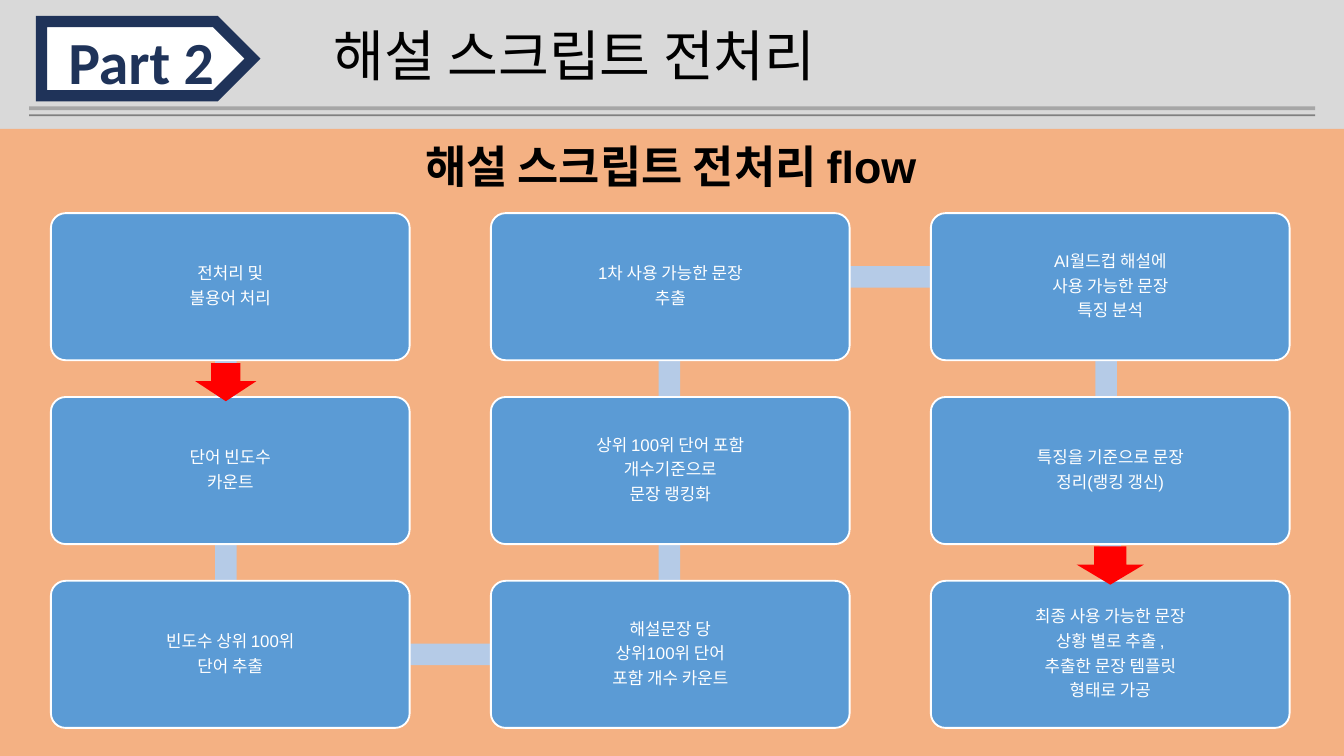
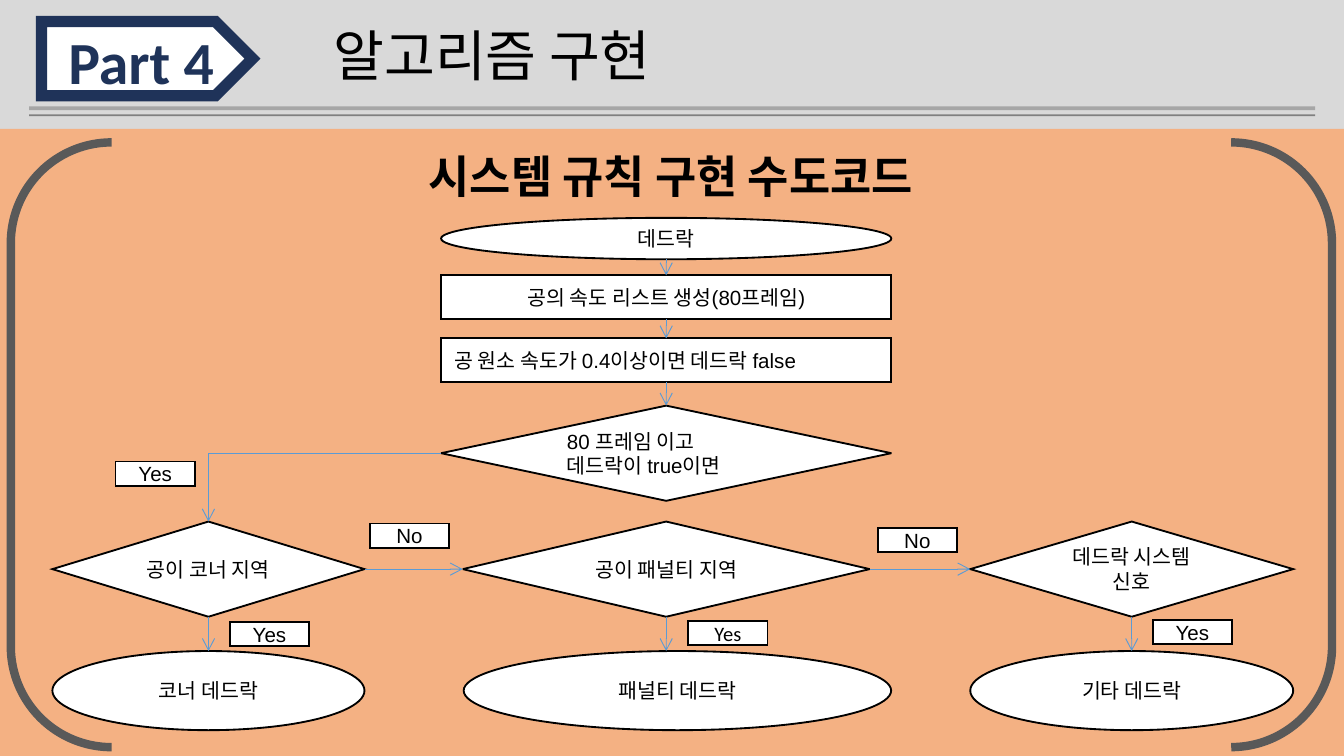
from lxml import etree
from pptx import Presentation
from pptx.dml.color import RGBColor
from pptx.enum.shapes import MSO_CONNECTOR, MSO_SHAPE
from pptx.enum.text import MSO_ANCHOR, MSO_AUTO_SIZE, PP_ALIGN
from pptx.oxml.ns import qn
from pptx.util import Pt

LEFT, CENTER = PP_ALIGN.LEFT, PP_ALIGN.CENTER
TOP_ANCHOR, MIDDLE = MSO_ANCHOR.TOP, MSO_ANCHOR.MIDDLE
NO_FIT, GROW = MSO_AUTO_SIZE.NONE, MSO_AUTO_SIZE.SHAPE_TO_FIT_TEXT
RECT, ROUNDED, ELLIPSE = MSO_SHAPE.RECTANGLE, MSO_SHAPE.ROUNDED_RECTANGLE, MSO_SHAPE.OVAL
DIAMOND, PENTAGON = MSO_SHAPE.DIAMOND, MSO_SHAPE.PENTAGON
DOWN_ARROW, BRACKETS = MSO_SHAPE.DOWN_ARROW, MSO_SHAPE.DOUBLE_BRACKET
STRAIGHT, ELBOW = MSO_CONNECTOR.STRAIGHT, MSO_CONNECTOR.ELBOW
TOP, LEFT_SIDE, BOTTOM, RIGHT_SIDE = range(4)

BLACK = RGBColor(0x00, 0x00, 0x00)
WHITE = RGBColor(0xFF, 0xFF, 0xFF)
NAVY = RGBColor(0x1F, 0x33, 0x59)
BLUE = RGBColor(0x5B, 0x9B, 0xD5)
PALE_BLUE = RGBColor(0xB5, 0xCB, 0xE7)
RED = RGBColor(0xFF, 0x00, 0x00)
ORANGE = RGBColor(0xF4, 0xB1, 0x83)
LIGHT_GRAY = RGBColor(0xD9, 0xD9, 0xD9)
MID_GRAY = RGBColor(0xA6, 0xA6, 0xA6)
GRAY = RGBColor(0x80, 0x80, 0x80)
DARK_GRAY = RGBColor(0x59, 0x59, 0x59)

BODY_FONT, TITLE_FONT = "Arial", "Calibri"
TITLE_ONLY = 5

# Steps of the preprocessing flow, one list per column
FLOW_COLUMNS = [
    ["전처리 및\n불용어 처리", "단어 빈도수\n카운트", "빈도수 상위 100위\n단어 추출"],
    ["1차 사용 가능한 문장\n추출",
     "상위 100위 단어 포함\n개수기준으로\n문장 랭킹화",
     "해설문장 당\n상위100위 단어\n포함 개수 카운트"],
    ["AI월드컵 해설에\n사용 가능한 문장\n특징 분석",
     "특징을 기준으로 문장\n정리(랭킹 갱신)",
     "최종 사용 가능한 문장\n상황 별로 추출 ,\n추출한 문장 템플릿\n형태로 가공"],
]
# Bars behind the steps: left, top, length, rotation
FLOW_BARS = [
    (72, 177.8, 98, 90), (72, 274.3, 98, 90), (81.4, 344.9, 234.7, 0),
    (309.6, 275.8, 98, 270), (309.6, 180, 98, 270), (321.1, 142.6, 234.7, 0),
    (543.6, 175, 98, 90), (545.8, 275.8, 98, 90),
]
# Answers beside the arrows: text, left, top, font
ANSWERS = [
    ("Yes", 123.1, 333.2, BODY_FONT), ("Yes", 368.7, 332.6, TITLE_FONT),
    ("Yes", 617.5, 332, BODY_FONT), ("Yes", 61.9, 247.2, BODY_FONT),
    ("No", 198.1, 280.5, BODY_FONT), ("No", 470.2, 282.7, BODY_FONT),
]


def write_text(shape, text, *, size, color=BLACK, font=BODY_FONT, bold=False,
               align=CENTER, anchor=MIDDLE, spacing=None, after=0, wrap=True, fit=NO_FIT):
    frame = shape.text_frame
    frame.text = text
    frame.word_wrap = wrap
    frame.auto_size = fit
    frame.vertical_anchor = anchor
    for paragraph in frame.paragraphs:
        paragraph.alignment = align
        paragraph.space_before = Pt(0)
        paragraph.space_after = Pt(after)
        if spacing:
            paragraph.line_spacing = spacing
        paragraph.font.size = Pt(size)
        paragraph.font.name = font
        paragraph.font.bold = bold
        paragraph.font.color.rgb = color


def add_block(slide, kind, left, top, width, height, fill=None, line=None, weight=1):
    block = slide.shapes.add_shape(kind, Pt(left), Pt(top), Pt(width), Pt(height))
    block.shadow.inherit = False
    if fill is None:
        block.fill.background()
    else:
        block.fill.solid()
        block.fill.fore_color.rgb = fill
    if line is None:
        block.line.fill.background()
    else:
        block.line.color.rgb = line
        block.line.width = Pt(weight)
        # Sharp corners
        etree.SubElement(block.line._get_or_add_ln(), qn("a:miter"), lim="800000")
    return block


def add_label(slide, text, left, top, width, height, **text_format):
    label = slide.shapes.add_textbox(Pt(left), Pt(top), Pt(width), Pt(height))
    write_text(label, text, anchor=TOP_ANCHOR, fit=GROW, **text_format)


def add_node(slide, kind, text, left, top, width, height, **text_format):
    node = add_block(slide, kind, left, top, width, height, WHITE, BLACK)
    write_text(node, text, size=11, **text_format)
    return node


def side_middle(node, side):
    x = {LEFT_SIDE: node.left, RIGHT_SIDE: node.left + node.width}
    y = {TOP: node.top, BOTTOM: node.top + node.height}
    return (x.get(side, node.left + node.width // 2),
            y.get(side, node.top + node.height // 2))


def add_arrow(slide, source, target, exit_side=BOTTOM, entry_side=TOP,
              kind=STRAIGHT, join_source=True, join_target=True):
    start, end = side_middle(source, exit_side), side_middle(target, entry_side)
    if not join_target:
        end = (start[0], end[1])
    arrow = slide.shapes.add_connector(kind, *start, *end)
    if join_source:
        arrow.begin_connect(source, exit_side)
    if join_target:
        arrow.end_connect(target, entry_side)
    arrow.line.color.rgb = BLUE
    arrow.line.width = Pt(0.5)
    properties = arrow._element.spPr
    if kind == ELBOW:
        properties.find(qn("a:prstGeom")).set("prst", "bentConnector2")
    etree.SubElement(arrow.line._get_or_add_ln(), qn("a:tailEnd"), type="arrow")
    etree.SubElement(properties, qn("a:effectLst"))


def add_part_slide(deck, part, title):
    """Start a slide with the shared header and coloured body."""
    slide = deck.slides.add_slide(deck.slide_layouts[TITLE_ONLY])
    heading = slide.shapes.title
    heading.left, heading.top, heading.width, heading.height = (
        Pt(171.4), Pt(17.3), Pt(517), Pt(33.1))
    write_text(heading, title, size=29.6, font=TITLE_FONT, align=LEFT,
               anchor=TOP_ANCHOR, spacing=0.7)
    # Double rule and body
    add_block(slide, RECT, 15.6, 57, 689, 2, MID_GRAY)
    add_block(slide, RECT, 15.6, 61.3, 689, 0.9, GRAY)
    add_block(slide, RECT, 0, 69, 720, 336, ORANGE)
    # Part badge
    add_block(slide, PENTAGON, 22.3, 11.5, 113, 39.8, WHITE, NAVY, 6)
    add_label(slide, part, 29.5, 9.8, 93.6, 46, size=32, color=NAVY,
              font=TITLE_FONT, bold=True, align=LEFT, wrap=False)
    return slide


def build_flow(deck):
    slide = add_part_slide(deck, "Part 2", "해설 스크립트 전처리")
    add_label(slide, "해설 스크립트 전처리 flow", 79.2, 70.6, 560.2, 36, size=24, bold=True)
    for left, top, length, rotation in FLOW_BARS:
        add_block(slide, RECT, left, top, length, 11.5, PALE_BLUE).rotation = rotation
    # Grid of steps
    for column, steps in enumerate(FLOW_COLUMNS):
        for row, text in enumerate(steps):
            step = add_block(slide, ROUNDED, 27.3 + 235.7 * column, 114.2 + 98.5 * row,
                             192.2, 78.8, BLUE, WHITE)
            step.adjustments[0] = 0.1
            write_text(step, text, size=9, color=WHITE, spacing=0.9, after=3.4)
    # Highlighted arrows
    add_block(slide, DOWN_ARROW, 106.2, 195, 29.5, 19.4, RED, RED)
    add_block(slide, DOWN_ARROW, 578.6, 293.3, 32.4, 19.4, RED, RED)


def build_algorithm(deck):
    slide = add_part_slide(deck, "Part 4", "알고리즘 구현")
    add_block(slide, BRACKETS, 5.8, 76.3, 707.8, 324, line=DARK_GRAY, weight=4.5)
    add_label(slide, "시스템 규칙 구현 수도코드", 79.2, 76.3, 560.2, 36, size=24,
              font=TITLE_FONT, bold=True)

    # Main sequence
    main_left, main_width = 236.3, 241.2
    deadlock = add_node(slide, ELLIPSE, "데드락", main_left, 116.7, main_width, 22.2)
    speeds = add_node(slide, RECT, "공의 속도 리스트 생성(80프레임)",
                      main_left, 147.5, main_width, 23.4)
    threshold = add_node(slide, RECT, "공 원소 속도가 0.4이상이면 데드락 false",
                         main_left, 181.3, main_width, 23.4, align=LEFT)
    frames = add_node(slide, DIAMOND, "80 프레임 이고\n데드락이 true이면",
                      main_left, 217.3, main_width, 51, align=LEFT)

    # Ball areas and their outcomes
    area_top, area_height = 279.4, 51
    result_top, result_height = 348.8, 42.4
    corner = add_node(slide, DIAMOND, "공이 코너 지역", 28.1, area_top, 167.2, area_height)
    penalty = add_node(slide, DIAMOND, "공이 패널티 지역", 247.9, area_top, 218, area_height)
    signal = add_node(slide, DIAMOND, "데드락 시스템 신호", 519.8, area_top, 173, area_height)
    corner_result = add_node(slide, ELLIPSE, "코너 데드락",
                             28.1, result_top, 167.2, result_height)
    penalty_result = add_node(slide, ELLIPSE, "패널티 데드락",
                              248.4, result_top, 229, result_height)
    other_result = add_node(slide, ELLIPSE, "기타 데드락",
                            519.8, result_top, 173, result_height)

    # Arrows
    add_arrow(slide, deadlock, speeds, join_source=False)
    add_arrow(slide, speeds, threshold)
    add_arrow(slide, threshold, frames)
    add_arrow(slide, frames, corner, LEFT_SIDE, TOP, kind=ELBOW)
    add_arrow(slide, corner, penalty, RIGHT_SIDE, LEFT_SIDE)
    add_arrow(slide, penalty, signal, RIGHT_SIDE, LEFT_SIDE)
    add_arrow(slide, corner, corner_result)
    add_arrow(slide, penalty, penalty_result, join_target=False)
    add_arrow(slide, signal, other_result)
    for answer, left, top, font in ANSWERS:
        add_node(slide, RECT, answer, left, top, 42.5, 13, font=font)


def main():
    deck = Presentation()
    deck.slide_width, deck.slide_height = Pt(720), Pt(405)
    backdrop = deck.slide_master.background.fill
    backdrop.solid()
    backdrop.fore_color.rgb = LIGHT_GRAY
    build_flow(deck)
    build_algorithm(deck)
    deck.save("out.pptx")


if __name__ == "__main__":
    main()
